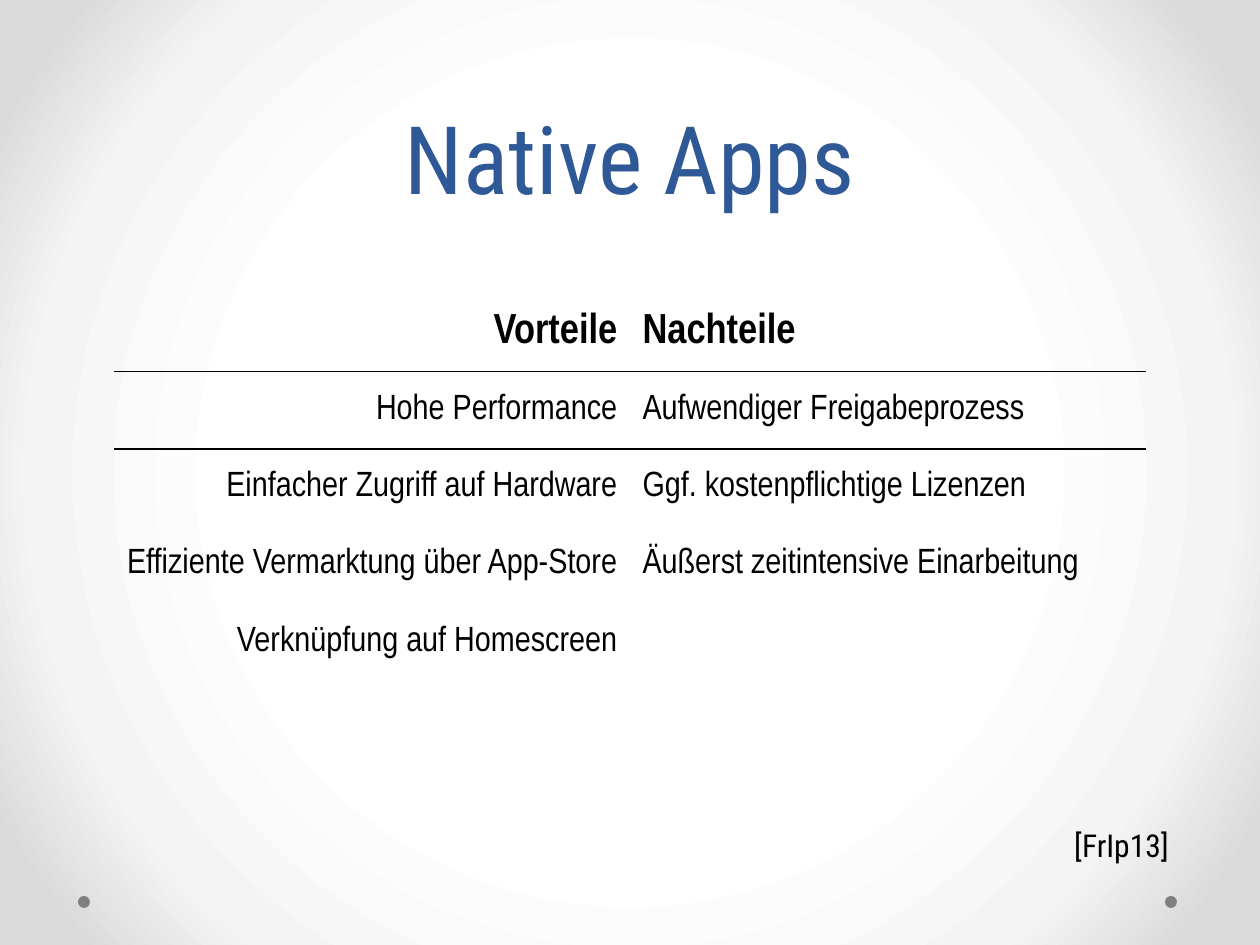
import pptx
import pptx.dml.color
import pptx.enum.shapes
import pptx.enum.text
import pptx.oxml
import pptx.oxml.ns
import pptx.util

PX = 914400 / 126
COLORS = {"title": "2F5897", "text": "000000", "dot": "808080"}
BACKGROUND_STOPS = [(50, "FFFFFF"), (76, "F4F4F4"), (92, "DADADA")]
NO_STYLE_NO_GRID = "{2D5ABB26-0587-4C30-8999-92F81FD0307C}"
TITLE_FONT, TABLE_FONT = "Roboto Condensed", "Arial Narrow"
ALIGN = pptx.enum.text.PP_ALIGN
ANCHOR = pptx.enum.text.MSO_ANCHOR

ROWS = [
    ("Vorteile", "Nachteile"),
    ("Hohe Performance", "Aufwendiger Freigabeprozess"),
    ("Einfacher Zugriff auf Hardware", "Ggf. kostenpflichtige Lizenzen"),
    ("Effiziente Vermarktung über App-Store", "Äußerst zeitintensive Einarbeitung"),
    ("Verknüpfung auf Homescreen", ""),
]
RULED_ROWS = 2


def px(*lengths):
    return [pptx.util.Emu(round(length * PX)) for length in lengths]


def rgb(name):
    return pptx.dml.color.RGBColor.from_string(COLORS[name])


def set_background(slide):
    """Radial gradient that darkens towards the corners."""
    stops = "".join(
        f'<a:gs pos="{pos * 1000}"><a:srgbClr val="{color}"/></a:gs>'
        for pos, color in BACKGROUND_STOPS
    )
    gradient = pptx.oxml.parse_xml(
        f'<a:gradFill {pptx.oxml.ns.nsdecls("a")} rotWithShape="1"><a:gsLst>{stops}</a:gsLst>'
        '<a:path path="circle"><a:fillToRect l="50000" t="50000" r="50000" b="50000"/></a:path>'
        "</a:gradFill>"
    )
    slide.background.fill.solid()
    properties = slide._element.cSld.bg.bgPr
    properties.replace(properties[0], gradient)


def add_dot(slide, left):
    dot = slide.shapes.add_shape(
        pptx.enum.shapes.MSO_SHAPE.OVAL, *px(left, 896, 12, 12)
    )
    dot.shadow.inherit = False
    dot.fill.solid()
    dot.fill.fore_color.rgb = rgb("dot")
    dot.line.fill.background()


def write(frame, text, font, size, color, align, bold=False):
    frame.text = text
    paragraph = frame.paragraphs[0]
    paragraph.alignment = align
    for run in paragraph.runs:
        run.font.name = font
        run.font.size = pptx.util.Pt(size)
        run.font.bold = bold
        run.font.color.rgb = rgb(color)


def add_label(slide, box, text, size, color, wrap=True, anchor=ANCHOR.TOP):
    frame = slide.shapes.add_textbox(*px(*box)).text_frame
    frame.word_wrap = wrap
    frame.vertical_anchor = anchor
    write(frame, text, TITLE_FONT, size, color, ALIGN.CENTER)
    return frame


def rule_below(cell):
    border = pptx.oxml.parse_xml(
        f'<a:lnB {pptx.oxml.ns.nsdecls("a")} w="12700"><a:solidFill>'
        f'<a:srgbClr val="{COLORS["text"]}"/></a:solidFill></a:lnB>'
    )
    cell._tc.get_or_add_tcPr().insert(0, border)


def add_comparison(slide):
    column_width, row_height = 516, 77.4
    box = px(114, 294, 2 * column_width, len(ROWS) * row_height)
    table = slide.shapes.add_table(len(ROWS), 2, *box).table
    table.first_row = table.horz_banding = False
    style = table._tbl.tblPr.find(pptx.oxml.ns.qn("a:tableStyleId"))
    style.text = NO_STYLE_NO_GRID
    for row_index, texts in enumerate(ROWS):
        is_header = row_index == 0
        for column, (text, align) in enumerate(zip(texts, (ALIGN.RIGHT, ALIGN.LEFT))):
            cell = table.cell(row_index, column)
            cell.fill.background()
            cell.vertical_anchor = ANCHOR.MIDDLE
            write(cell.text_frame, text, TABLE_FONT, 24 if is_header else 20,
                  "text", align, is_header)
            if row_index < RULED_ROWS:
                rule_below(cell)


def main():
    presentation = pptx.Presentation()
    presentation.slide_width, presentation.slide_height = px(1260, 945)
    slide = presentation.slides.add_slide(presentation.slide_layouts[6])
    set_background(slide)
    for left in (1165, 78):
        add_dot(slide, left)
    title = add_label(slide, (63, 0, 1134, 220), "Native Apps", 54, "title",
                      anchor=ANCHOR.BOTTOM)
    title.paragraphs[0].line_spacing = pptx.util.Pt(58)
    add_comparison(slide)
    citation = add_label(slide, (1061, 820, 121, 50), "[FrIp13]", 18, "text", wrap=False)
    citation.auto_size = pptx.enum.text.MSO_AUTO_SIZE.SHAPE_TO_FIT_TEXT
    presentation.save("out.pptx")


if __name__ == "__main__":
    main()
